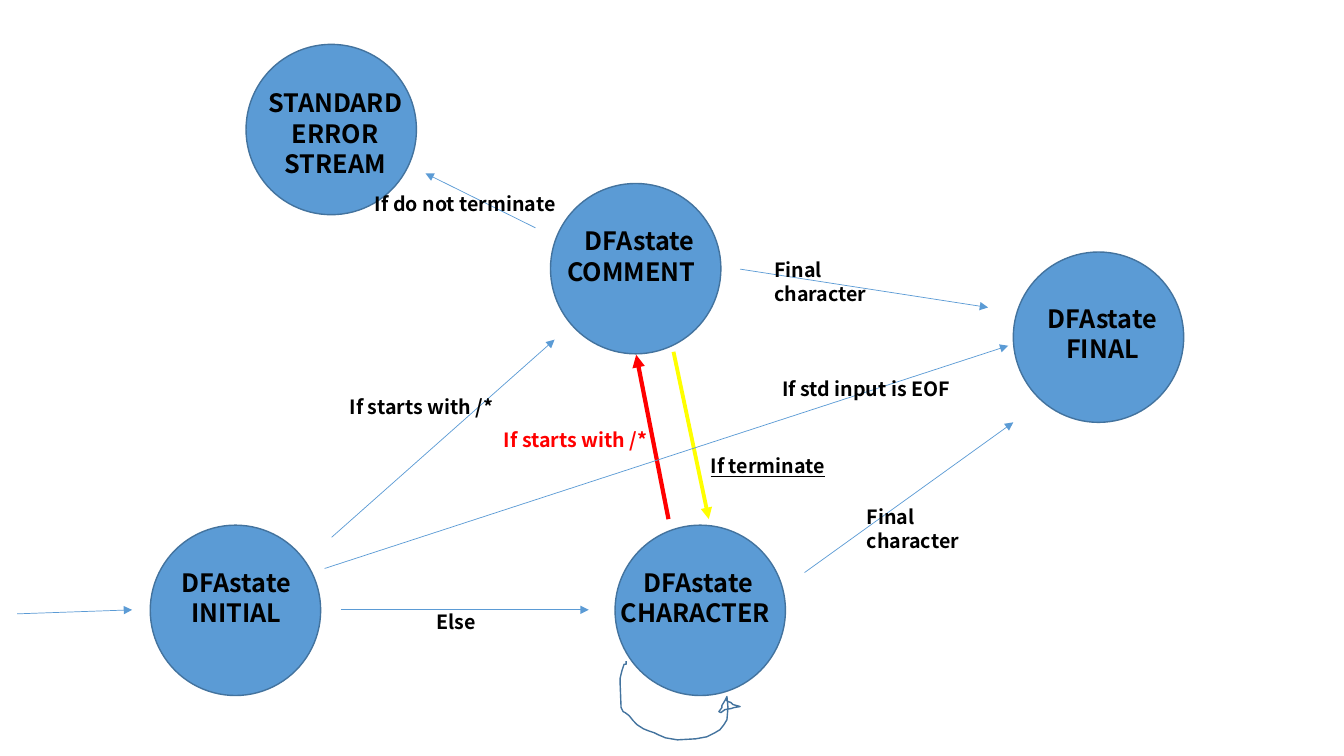
from dataclasses import dataclass

import pptx
import pptx.util
from lxml import etree
from pptx.dml.color import RGBColor
from pptx.enum.shapes import MSO_CONNECTOR, MSO_SHAPE
from pptx.enum.text import MSO_AUTO_SIZE, PP_ALIGN
from pptx.oxml.ns import qn
from pptx.util import Inches


@dataclass(frozen=True)
class Theme:
    font: str = "Noto Sans CJK KR"
    state_size: int = 18
    label_size: int = 14
    fill: str = "5B9BD5"
    outline: str = "43739E"
    ink: str = "000000"
    red: str = "FF0000"
    yellow: str = "FFFF00"
    thin: float = 0.5


THEME = Theme()
DIAMETER = 1.69
CENTER, LEFT = PP_ALIGN.CENTER, PP_ALIGN.LEFT

# circle left, top; text left, top, width, height; paragraphs with alignment
STATES = [
    ((1.49, 5.21), (1.53, 5.58, 1.63, 0.71), [("DFAstate", CENTER), ("INITIAL", CENTER)]),
    ((5.46, 1.82), (5.53, 2.19, 1.63, 0.71), [("DFAstate", CENTER), ("COMMENT", LEFT)]),
    ((6.1, 5.21), (6.05, 5.58, 1.75, 0.71), [("DFAstate", CENTER), ("CHARACTER ", CENTER)]),
    ((10.05, 2.5), (10.12, 2.96, 1.63, 0.71), [("DFAstate", CENTER), ("FINAL", CENTER)]),
    ((2.44, 0.44), (2.51, 0.82, 1.63, 1.01), [("STANDARD ERROR STREAM", CENTER)]),
]

# start, end, colour, width
TRANSITIONS = [
    ((0.17, 6.09), (1.31, 6.05), THEME.fill, THEME.thin),
    ((3.29, 5.33), (5.5, 3.37), THEME.fill, THEME.thin),
    ((3.38, 6.05), (5.84, 6.05), THEME.fill, THEME.thin),
    ((7.98, 5.68), (10.05, 4.19), THEME.fill, THEME.thin),
    ((7.34, 2.67), (9.8, 3.05), THEME.fill, THEME.thin),
    ((5.31, 2.26), (4.22, 1.72), THEME.fill, THEME.thin),
    ((6.68, 3.49), (7.03, 5.15), THEME.yellow, 2.75),
    ((6.63, 5.15), (6.31, 3.52), THEME.red, 3),
    ((3.22, 5.64), (10, 3.43), THEME.fill, THEME.thin),
]

# text, left, top, width, format changes
CONDITIONS = [
    ("Final character", 7.58, 2.51, 1.6, {}),
    ("If starts with /*", 3.37, 3.87, 1.66, {}),
    ("Else", 4.23, 6, 0.6, {}),
    ("If starts with /*", 4.9, 4.2, 1.66, {"color": THEME.red}),
    ("If terminate", 6.95, 4.45, 1.39, {"underline": True}),
    ("If std input is EOF", 7.66, 3.69, 2.03, {}),
    ("If do not terminate", 3.62, 1.86, 1.99, {}),
    ("Final character", 8.5, 4.96, 1.6, {}),
]
CONDITION_HEIGHT = 0.34

SELF_LOOP = [
    (6.21, 6.56), (6.21, 6.59), (6.19, 6.59), (6.17, 6.65), (6.15, 6.73),
    (6.15, 6.77), (6.16, 7.02), (6.18, 7.06), (6.2, 7.07), (6.24, 7.1),
    (6.28, 7.15), (6.32, 7.19), (6.38, 7.23), (6.43, 7.25), (6.49, 7.27),
    (6.53, 7.29), (6.6, 7.32), (6.72, 7.34), (6.9, 7.33), (7.01, 7.31),
    (7.05, 7.29), (7.09, 7.27), (7.14, 7.24), (7.18, 7.19), (7.21, 7.14),
    (7.22, 7.02), (7.21, 6.91), (7.19, 6.95), (7.16, 7), (7.16, 7.02),
    (7.13, 7.06), (7.15, 7.07), (7.19, 7.04), (7.25, 7.03), (7.28, 7.02),
    (7.34, 7.01), (7.27, 6.99), (7.25, 6.97), (7.22, 6.96), (7.2, 6.94),
]


def rgb(color):
    return RGBColor.from_string(color)


def set_line(shape, color, width):
    shape.line.color.rgb = rgb(color)
    shape.line.width = pptx.util.Pt(width)


def add_circle(s, left, top):
    sp = s.shapes.add_shape(MSO_SHAPE.OVAL, Inches(left), Inches(top),
                            Inches(DIAMETER), Inches(DIAMETER))
    sp.shadow.inherit = False
    sp.fill.solid()
    sp.fill.fore_color.rgb = rgb(THEME.fill)
    set_line(sp, THEME.outline, 1)


def add_text(s, box, paragraphs, size, color=THEME.ink, underline=None):
    tf = s.shapes.add_textbox(*map(Inches, box)).text_frame
    tf.word_wrap = True
    tf.auto_size = MSO_AUTO_SIZE.SHAPE_TO_FIT_TEXT
    font = {"name": THEME.font, "size": pptx.util.Pt(size), "bold": True,
            "underline": underline}
    for i, (text, align) in enumerate(paragraphs):
        p = tf.add_paragraph() if i else tf.paragraphs[0]
        p.alignment = align
        r = p.add_run()
        r.text = text
        for name, value in font.items():
            setattr(r.font, name, value)
        r.font.color.rgb = rgb(color)


def add_arrow(s, start, end, color, width):
    cx = s.shapes.add_connector(MSO_CONNECTOR.STRAIGHT, *map(Inches, start + end))
    set_line(cx, color, width)
    etree.SubElement(cx.line._get_or_add_ln(), qn("a:tailEnd"), type="triangle")
    etree.SubElement(cx._element.spPr, qn("a:effectLst"))


def add_self_loop(s):
    """Draw the hand-drawn arrow from the character state back to itself."""
    points = [(Inches(x), Inches(y)) for x, y in SELF_LOOP]
    builder = s.shapes.build_freeform(*points[0])
    builder.add_line_segments(points[1:], close=False)
    sp = builder.convert_to_shape()
    sp.shadow.inherit = False
    sp.fill.background()
    set_line(sp, THEME.outline, 1)


def main():
    prs = pptx.Presentation()
    prs.slide_width, prs.slide_height = Inches(13.33), Inches(7.5)
    s = prs.slides.add_slide(prs.slide_layouts[6])
    for circle, box, paragraphs in STATES:
        add_circle(s, *circle)
        add_text(s, box, paragraphs, THEME.state_size)
    for transition in TRANSITIONS:
        add_arrow(s, *transition)
    add_self_loop(s)
    for text, left, top, width, changes in CONDITIONS:
        add_text(s, (left, top, width, CONDITION_HEIGHT), [(text, LEFT)],
                 THEME.label_size, **changes)
    prs.save("out.pptx")


if __name__ == "__main__":
    main()
